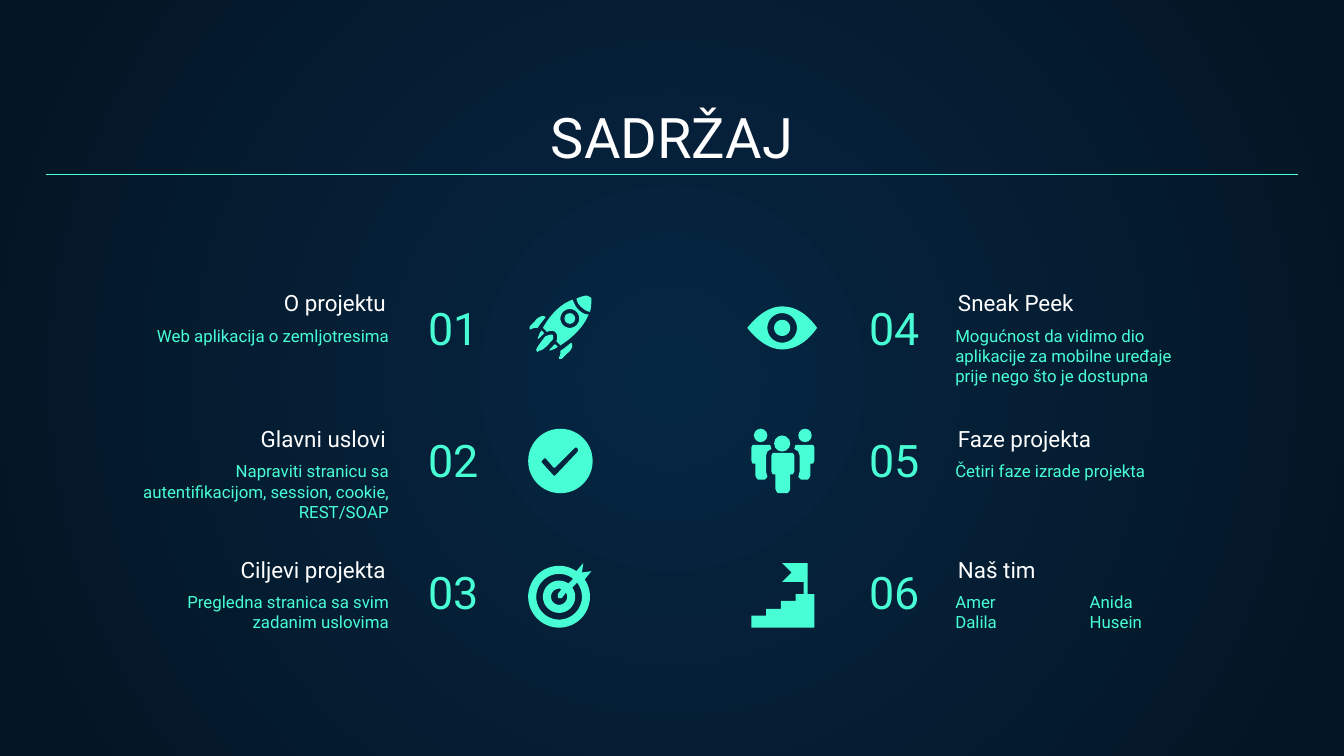
from math import cos, radians, sin

from lxml import etree
from pptx import Presentation
from pptx.dml.color import RGBColor
from pptx.enum.shapes import MSO_CONNECTOR, MSO_SHAPE
from pptx.enum.text import MSO_ANCHOR as ANCHOR, MSO_AUTO_SIZE, PP_ALIGN as ALIGN
from pptx.oxml.ns import qn
from pptx.util import Inches, Pt

MINT = RGBColor(0x48, 0xFF, 0xD5)
WHITE = RGBColor(0xFF, 0xFF, 0xFF)
NAVY = RGBColor(0x05, 0x26, 0x43)
MIDNIGHT = RGBColor(0x04, 0x15, 0x23)

TITLE = {"size": Pt(30), "name": "Roboto", "color": WHITE}
HEADING = {"size": Pt(12), "name": "Roboto", "color": WHITE}
DETAIL = {"size": Pt(9), "name": "Roboto", "color": MINT}
NUMBER = {"size": Pt(24), "name": "Roboto", "color": MINT}

LEFT_COLUMN = {"align": ALIGN.RIGHT, "number_align": ALIGN.LEFT,
               "heading": (0.7, 2.27), "detail": (0.79, 2.2), "number": (3.09, 1.29)}
RIGHT_COLUMN = {"align": ALIGN.LEFT, "number_align": ALIGN.RIGHT,
                "heading": (7.03, 2.27), "detail": (7.01, 2.07), "number": (5.65, 1.29)}
HEADING_TOPS = (2.24, 3.25, 4.23)
DETAIL_TOPS = (2.32, 3.33, 4.3)

TOPICS = (
    (LEFT_COLUMN, (
        ("01", "O projektu", "Web aplikacija o zemljotresima"),
        ("02", "Glavni uslovi",
         "Napraviti stranicu sa autentifikacijom, session, cookie, REST/SOAP"),
        ("03", "Ciljevi projekta", "Pregledna stranica sa svim zadanim uslovima"))),
    (RIGHT_COLUMN, (
        ("04", "Sneak Peek",
         "Mogućnost da vidimo dio aplikacije za mobilne uređaje prije nego što je dostupna"),
        ("05", "Faze projekta", "Četiri faze izrade projekta"),
        ("06", "Naš tim", "Amer\tAnida\nDalila\tHusein"))),
)


def paint_background(slide):
    fill = slide.background.fill
    fill.gradient()
    for stop, color in zip(fill.gradient_stops, (NAVY, MIDNIGHT)):
        stop.color.rgb = color
    gradient = slide.element.find(".//" + qn("a:gradFill"))
    gradient.remove(gradient.find(qn("a:lin")))
    circle = etree.SubElement(gradient, qn("a:path"), path="circle")
    etree.SubElement(circle, qn("a:fillToRect"), l="50000", t="50000", r="50000", b="50000")


def format_text(holder, text, font_format, align, anchor):
    frame = holder.text_frame
    frame.text = text
    settings = {"word_wrap": True, "auto_size": MSO_AUTO_SIZE.NONE, "vertical_anchor": anchor}
    for side in ("left", "top", "right", "bottom"):
        settings["margin_" + side] = Inches(0.1)
    for key, value in settings.items():
        setattr(frame, key, value)
    for paragraph in frame.paragraphs:
        paragraph.alignment = align
        if "\t" in paragraph.text:
            tabs = etree.SubElement(paragraph._p.get_or_add_pPr(), qn("a:tabLst"))
            etree.SubElement(tabs, qn("a:tab"), pos=str(Inches(1)), algn="l")
        for run in paragraph.runs:
            for key, value in font_format.items():
                if key == "color":
                    run.font.color.rgb = value
                else:
                    setattr(run.font, key, value)


def add_title(slide, text):
    title = slide.shapes.title
    place = {"left": 0.34, "top": 0.7, "width": 9.32, "height": 0.66}
    for key, value in place.items():
        setattr(title, key, Inches(value))
    format_text(title, text, TITLE, ALIGN.CENTER, ANCHOR.BOTTOM)


def add_label(slide, span, top, height, *text_format):
    left, width = span
    box = slide.shapes.add_textbox(Inches(left), Inches(top), Inches(width), Inches(height))
    format_text(box, *text_format)


def add_topic(slide, column, row, number, heading, detail):
    align = column["align"]
    add_label(slide, column["detail"], DETAIL_TOPS[row], 0.55,
              detail, DETAIL, align, ANCHOR.TOP)
    add_label(slide, column["number"], 2.08 + 0.98 * row, 0.66,
              number, NUMBER, column["number_align"], ANCHOR.BOTTOM)
    add_label(slide, column["heading"], HEADING_TOPS[row], 0.21,
              heading, HEADING, align, ANCHOR.BOTTOM)


def add_rule(slide):
    rule = slide.shapes.add_connector(
        MSO_CONNECTOR.STRAIGHT, Inches(0.34), Inches(1.3), Inches(9.66), Inches(1.3))
    rule.line.color.rgb = MINT
    rule.line.width = Pt(0.75)
    etree.SubElement(rule._element.spPr, qn("a:effectLst"))


def paint_mint(shape):
    shape.fill.solid()
    shape.fill.fore_color.rgb = MINT
    shape.line.fill.background()
    shape.shadow.inherit = False


def add_outline(shapes, *contours):
    contours = [[(Inches(x), Inches(y)) for x, y in contour] for contour in contours]
    builder = shapes.build_freeform(*contours[0][0], scale=1.0)
    builder.add_line_segments(contours[0][1:], close=True)
    for contour in contours[1:]:
        builder.move_to(*contour[0])
        builder.add_line_segments(contour[1:], close=True)
    paint_mint(builder.convert_to_shape())


def add_disc(shapes, x, y, radius):
    paint_mint(shapes.add_shape(MSO_SHAPE.OVAL, Inches(x - radius), Inches(y - radius),
                                Inches(2 * radius), Inches(2 * radius)))


def arc(x, y, radius, start=0, end=360, steps=48):
    angles = [radians(start + (end - start) * i / steps) for i in range(steps + 1)]
    return [(x + radius * cos(a), y + radius * sin(a)) for a in angles]


def curve(a, b, c, d, steps=12):
    points = []
    for i in range(steps + 1):
        t = i / steps
        weights = ((1 - t) ** 3, 3 * t * (1 - t) ** 2, 3 * t * t * (1 - t), t ** 3)
        points.append(tuple(sum(w * p[axis] for w, p in zip(weights, (a, b, c, d)))
                            for axis in (0, 1)))
    return points


def add_rocket(slide):
    parts = slide.shapes.add_group_shape().shapes
    fin = (curve((4.06, 2.36), (4.04, 2.34), (4, 2.36), (3.98, 2.39))
           + [(3.94, 2.43), (3.94, 2.45), (3.95, 2.45)]
           + curve((3.95, 2.45), (3.97, 2.44), (3.98, 2.44), (4, 2.44))
           + [(4.02, 2.41)])
    flame = (curve((4.03, 2.46), (4.01, 2.48), (4.01, 2.5), (4, 2.52))
             + [(4.01, 2.52)] + curve((4.01, 2.52), (4.02, 2.51), (4.03, 2.5), (4.05, 2.48)))
    for side in (fin, flame):
        add_outline(parts, side)
        add_outline(parts, [(6.61 - y, 6.61 - x) for x, y in side])
    add_outline(parts, curve((4.1, 2.49), (4.09, 2.49), (4.07, 2.5), (4.06, 2.5))
                + curve((4.06, 2.5), (4.02, 2.55), (4, 2.58), (3.99, 2.6))
                + [(3.99, 2.61), (4, 2.62)]
                + curve((4.01, 2.61), (4.03, 2.61), (4.06, 2.59), (4.1, 2.54))
                + curve((4.1, 2.54), (4.12, 2.53), (4.12, 2.5), (4.11, 2.49)))
    add_outline(parts, curve((4.37, 2.2), (4.34, 2.2), (4.32, 2.21), (4.29, 2.22))
                + curve((4.29, 2.22), (4.29, 2.24), (4.3, 2.26), (4.32, 2.28))
                + curve((4.32, 2.28), (4.34, 2.3), (4.37, 2.32), (4.39, 2.32))
                + curve((4.39, 2.32), (4.4, 2.29), (4.4, 2.25), (4.4, 2.22))
                + [(4.39, 2.21)])
    add_outline(parts, curve((4.26, 2.23), (4.18, 2.26), (4.1, 2.33), (4.04, 2.44))
                + curve((4.07, 2.47), (4.09, 2.46), (4.12, 2.46), (4.13, 2.47))
                + curve((4.13, 2.47), (4.15, 2.49), (4.15, 2.51), (4.14, 2.54))
                + curve((4.17, 2.57), (4.25, 2.52), (4.34, 2.44), (4.38, 2.34))
                + curve((4.38, 2.34), (4.35, 2.34), (4.33, 2.33), (4.3, 2.3))
                + curve((4.3, 2.3), (4.28, 2.28), (4.27, 2.25), (4.26, 2.23)),
                arc(4.24, 2.37, 0.07))
    add_disc(parts, 4.24, 2.37, 0.04)


def add_check(slide):
    tick = [(4.28, 3.33), (4.29, 3.33), (4.3, 3.34), (4.3, 3.36), (4.13, 3.54),
            (4.12, 3.54), (4.03, 3.44), (4.03, 3.43), (4.05, 3.41), (4.06, 3.41),
            (4.12, 3.48), (4.13, 3.48)]
    add_outline(slide.shapes, arc(4.17, 3.43, 0.24), tick)


def add_target(slide):
    center = (4.16, 4.44)
    rim = [(4.34, 4.19)] + arc(*center, 0.23, -56, -394) + [(4.4, 4.25), (4.33, 4.26)]
    gap = arc(*center, 0.17, -52, -398) + arc(*center, 0.12, -395, -55)
    bullseye = arc(*center, 0.06, -72, -391) + [(4.18, 4.45), (4.17, 4.45),
                                                (4.15, 4.45), (4.15, 4.42)]
    add_outline(slide.shapes, rim, gap, bullseye)


def add_eye(slide):
    upper = (curve((5.56, 2.44), (5.64, 2.34), (5.73, 2.28), (5.82, 2.28))
             + curve((5.82, 2.28), (5.92, 2.28), (6.01, 2.34), (6.08, 2.44)))
    lower = [(x, 4.88 - y) for x, y in reversed(upper)]
    add_outline(slide.shapes, upper + lower, arc(5.82, 2.44, 0.11), arc(5.82, 2.44, 0.06))


def add_team(slide):
    members = slide.shapes.add_group_shape().shapes
    side = [(5.61, 3.31), (5.6, 3.31), (5.59, 3.33), (5.59, 3.43), (5.6, 3.45), (5.62, 3.45),
            (5.62, 3.54), (5.63, 3.56), (5.64, 3.57), (5.69, 3.57), (5.71, 3.55), (5.7, 3.51),
            (5.7, 3.39), (5.71, 3.36), (5.74, 3.34), (5.73, 3.31), (5.71, 3.31)]
    half = [(5.76, 3.37), (5.75, 3.37), (5.74, 3.39), (5.74, 3.51), (5.75, 3.53),
            (5.77, 3.53), (5.77, 3.64), (5.78, 3.66), (5.79, 3.67)]
    add_outline(members, side)
    add_outline(members, [(11.65 - x, y) for x, y in side])
    add_outline(members, half + [(11.65 - x, y) for x, y in reversed(half)])
    for x, y, radius in ((5.66, 3.24, 0.05), (5.99, 3.24, 0.05), (5.82, 3.3, 0.06)):
        add_disc(members, x, y, radius)


def add_stairs(slide):
    add_outline(slide.shapes, [
        (5.82, 4.19), (5.89, 4.26), (5.82, 4.33), (5.98, 4.33), (5.98, 4.42), (5.92, 4.42),
        (5.92, 4.47), (5.81, 4.47), (5.81, 4.53), (5.7, 4.53), (5.7, 4.58), (5.59, 4.58),
        (5.59, 4.67), (6.06, 4.67), (6.06, 4.42), (6.01, 4.42), (6.01, 4.19)])


def main():
    deck = Presentation()
    deck.slide_width = Inches(10)
    deck.slide_height = Inches(10) * 9 // 16
    slide = deck.slides.add_slide(deck.slide_layouts[5])
    paint_background(slide)
    add_title(slide, "SADRŽAJ")
    for column, topics in TOPICS:
        for row, topic in enumerate(topics):
            add_topic(slide, column, row, *topic)
    for add_icon in (add_target, add_rocket, add_check, add_team, add_stairs, add_eye):
        add_icon(slide)
    add_rule(slide)
    deck.save("out.pptx")


if __name__ == "__main__":
    main()
